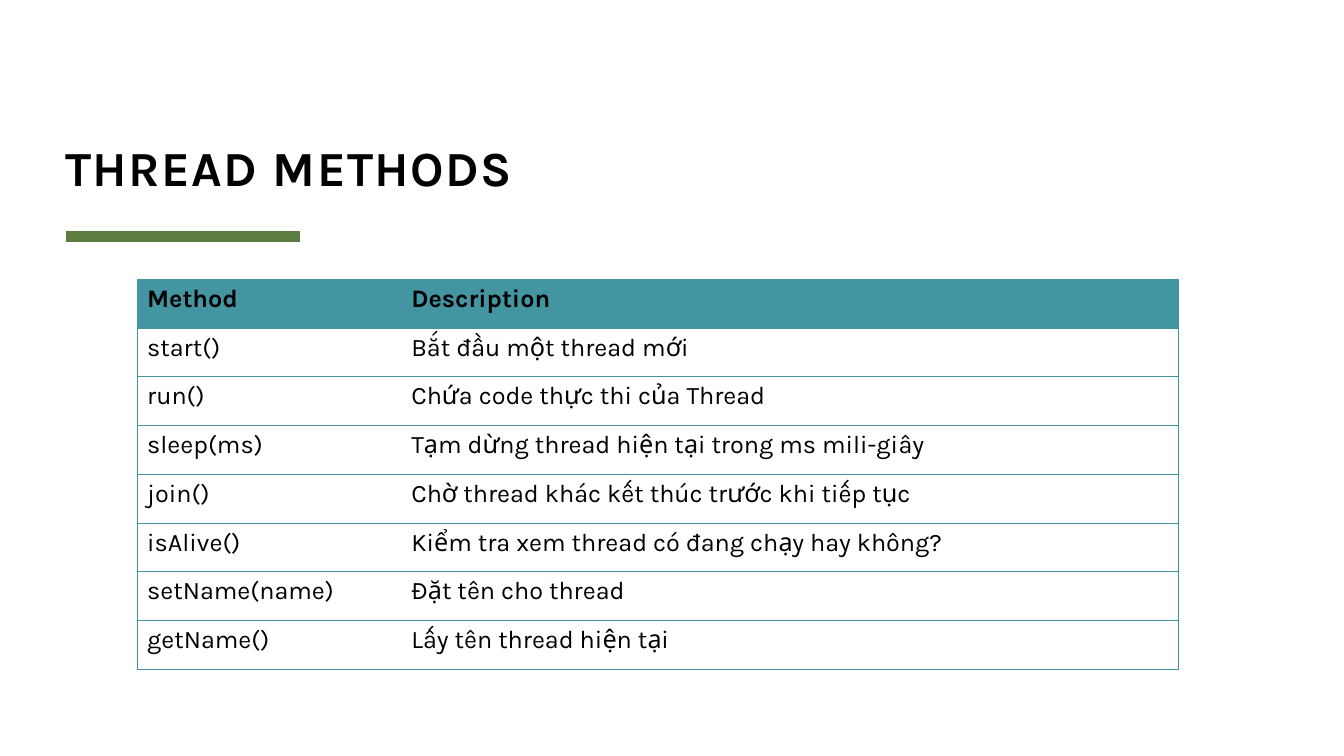
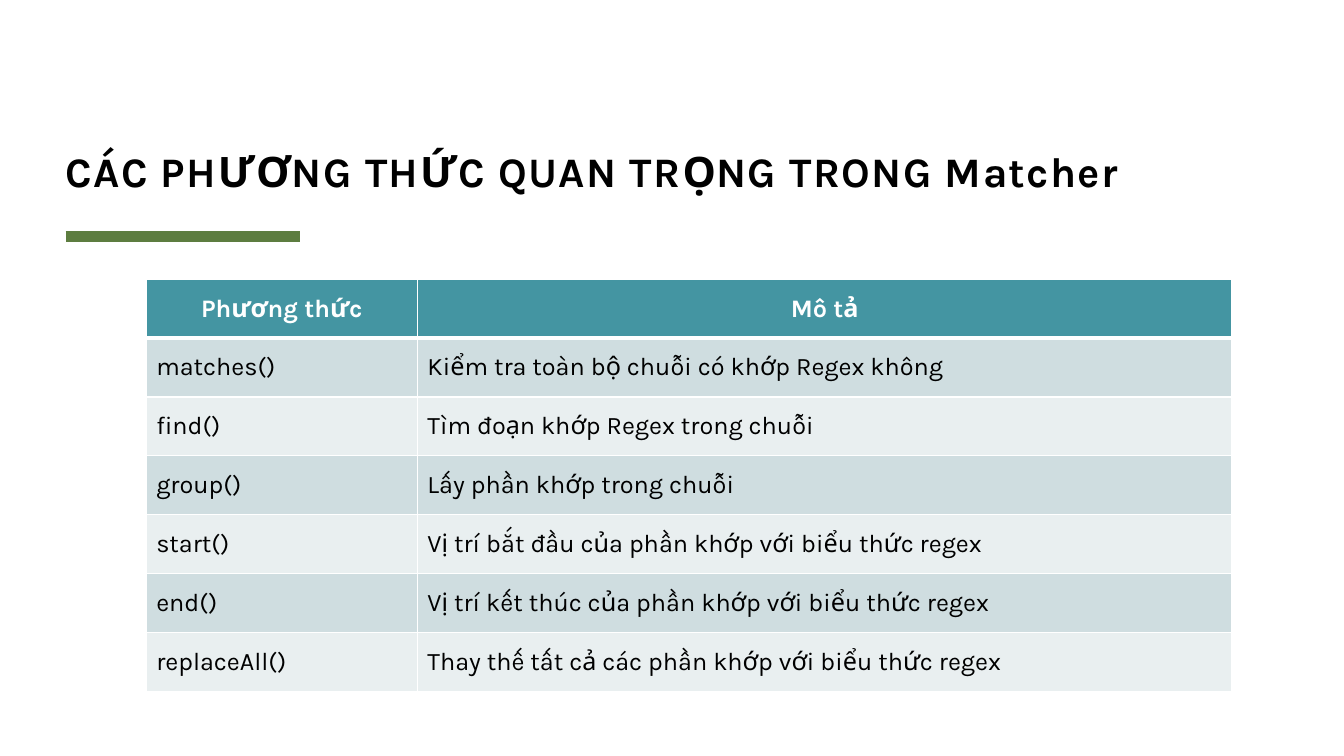
from dataclasses import dataclass

from lxml import etree
from pptx import Presentation
from pptx.dml.color import RGBColor
from pptx.enum.shapes import MSO_CONNECTOR
from pptx.enum.text import MSO_ANCHOR, PP_ALIGN
from pptx.oxml.ns import qn
from pptx.util import Inches, Pt

# Shared style
FONT = "Karla"
BLACK = RGBColor(0x00, 0x00, 0x00)
WHITE = RGBColor(0xFF, 0xFF, 0xFF)
TEAL = RGBColor(0x44, 0x95, 0xA2)
GREEN = RGBColor(0x5D, 0x7D, 0x40)
BAND_DARK = RGBColor(0xCF, 0xDD, 0xE0)
BAND_LIGHT = RGBColor(0xE9, 0xEF, 0xF0)
STRAIGHT = MSO_CONNECTOR.STRAIGHT
TOP, MIDDLE, BOTTOM = MSO_ANCHOR.TOP, MSO_ANCHOR.MIDDLE, MSO_ANCHOR.BOTTOM
LEFT, CENTER = PP_ALIGN.LEFT, PP_ALIGN.CENTER
BLANK_LAYOUT = 6
MARGIN = 0.65
TABLE_TOP = 2.77


@dataclass(frozen=True)
class TableStyle:
    header_color: RGBColor
    header_align: PP_ALIGN
    anchor: MSO_ANCHOR
    bands: tuple[RGBColor, ...]
    border_color: RGBColor
    border_width: float
    header_rule_width: float
    inner_vertical: bool


@dataclass(frozen=True)
class TablePage:
    title: str
    title_size: int
    left: float
    column_widths: tuple[float, float]
    height: float
    style: TableStyle
    rows: tuple[tuple[str, str], ...]


RULED = TableStyle(BLACK, LEFT, TOP, (), TEAL, 0.5, 0.5, False)
BANDED = TableStyle(WHITE, CENTER, MIDDLE, (BAND_DARK, BAND_LIGHT), WHITE, 1, 3, True)

PAGES = (
    TablePage("THREAD METHODS", 35, 1.36, (2.62, 7.71), 3.87, RULED, (
        ("Method", "Description"),
        ("start()", "Bắt đầu một thread mới"),
        ("run()", "Chứa code thực thi của Thread"),
        ("sleep(ms)", "Tạm dừng thread hiện tại trong ms mili-giây"),
        ("join()", "Chờ thread khác kết thúc trước khi tiếp tục"),
        ("isAlive()", "Kiểm tra xem thread có đang chạy hay không?"),
        ("setName(name)", "Đặt tên cho thread"),
        ("getName()", "Lấy tên thread hiện tại"),
    )),
    TablePage("CÁC PHƯƠNG THỨC QUAN TRỌNG TRONG Matcher", 30, 1.45, (2.69, 8.08), 4.09, BANDED, (
        ("Phương thức", "Mô tả"),
        ("matches()", "Kiểm tra toàn bộ chuỗi có khớp Regex không"),
        ("find()", "Tìm đoạn khớp Regex trong chuỗi"),
        ("group()", "Lấy phần khớp trong chuỗi"),
        ("start()", "Vị trí bắt đầu của phần khớp với biểu thức regex"),
        ("end()", "Vị trí kết thúc của phần khớp với biểu thức regex"),
        ("replaceAll()", "Thay thế tất cả các phần khớp với biểu thức regex"),
    )),
)


def add_span(para, text: str, size: float, color: RGBColor, bold: bool):
    span = para.add_run()
    span.text = text
    for name, value in {"name": FONT, "size": Pt(size), "bold": bold}.items():
        setattr(span.font, name, value)
    span.font.color.rgb = color
    return span


def add_heading(page, text: str, size: int) -> None:
    # Title
    box = page.shapes.add_textbox(Inches(MARGIN), Inches(0.64), Inches(12), Inches(1.3))
    frame = box.text_frame
    layout = {"word_wrap": True, "vertical_anchor": BOTTOM, "margin_left": 0,
              "margin_right": 0, "margin_top": 0, "margin_bottom": 0}
    for name, value in layout.items():
        setattr(frame, name, value)
    para = frame.paragraphs[0]
    para.line_spacing = 0.8
    span = add_span(para, text, size, BLACK, True)
    span.font._element.set("spc", "100")

    # Accent rule
    rule = page.shapes.add_connector(
        STRAIGHT, Inches(MARGIN), Inches(2.35), Inches(2.98), Inches(2.35))
    rule.line.color.rgb = GREEN
    rule.line.width = Pt(8)
    etree.SubElement(rule._element.spPr, qn("a:effectLst"))


def set_borders(cell, color: RGBColor, widths: dict[str, float]) -> None:
    """Draw each side (L, R, T, B in that order); a zero width hides it."""
    properties = cell._tc.get_or_add_tcPr()
    for index, (side, width) in enumerate(widths.items()):
        line = etree.Element(qn(f"a:ln{side}"), w=str(int(Pt(width))))
        if width:
            fill = etree.SubElement(line, qn("a:solidFill"))
            etree.SubElement(fill, qn("a:srgbClr"), val=str(color))
        else:
            etree.SubElement(line, qn("a:noFill"))
        properties.insert(index, line)


def format_cell(cell, text: str, row: int, column: int, style: TableStyle) -> None:
    header = row == 0
    cell.vertical_anchor = style.anchor
    para = cell.text_frame.paragraphs[0]
    para.alignment = style.header_align if header else LEFT
    add_span(para, text, 18, style.header_color if header else BLACK, header)

    if header or style.bands:
        cell.fill.solid()
        cell.fill.fore_color.rgb = TEAL if header else style.bands[(row - 1) % len(style.bands)]
    else:
        cell.fill.background()

    width = style.border_width
    inner = width if style.inner_vertical else 0
    set_borders(cell, style.border_color, {
        "L": width if column == 0 else inner,
        "R": inner if column == 0 else width,
        "T": style.header_rule_width if row == 1 else width,
        "B": style.header_rule_width if header else width,
    })


def add_method_table(page, content: TablePage) -> None:
    table = page.shapes.add_table(
        len(content.rows), len(content.column_widths), Inches(content.left),
        Inches(TABLE_TOP), Inches(sum(content.column_widths)), Inches(content.height)).table
    table.horz_banding = False
    for column, width in zip(table.columns, content.column_widths):
        column.width = Inches(width)
    for row, texts in enumerate(content.rows):
        for column, text in enumerate(texts):
            format_cell(table.cell(row, column), text, row, column, content.style)


def main() -> None:
    deck = Presentation()
    deck.slide_width, deck.slide_height = Inches(13.33), Inches(7.5)
    for content in PAGES:
        page = deck.slides.add_slide(deck.slide_layouts[BLANK_LAYOUT])
        add_heading(page, content.title, content.title_size)
        add_method_table(page, content)
    deck.save("out.pptx")


if __name__ == "__main__":
    main()
